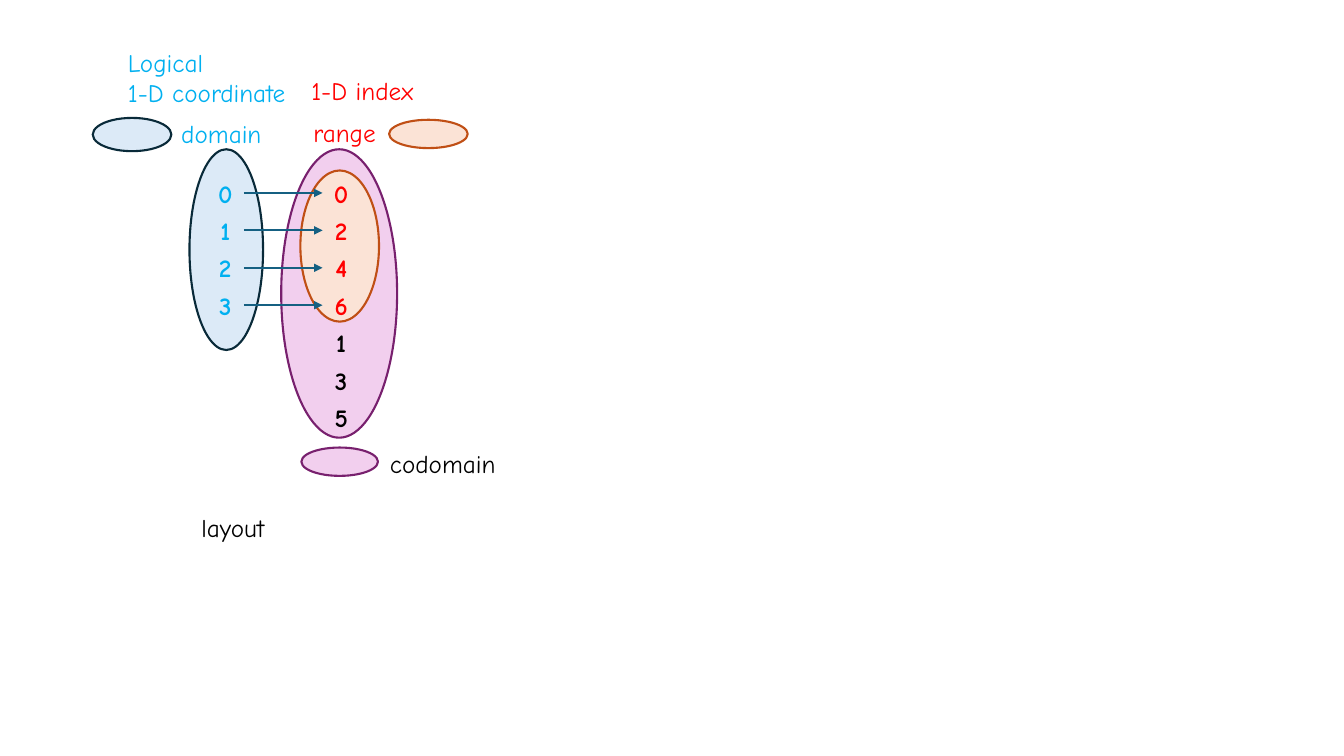
from lxml import etree
from pptx import Presentation
from pptx import util as u
from pptx.dml.color import RGBColor
from pptx.enum import shapes, text
from pptx.oxml.ns import qn

HUE = {"sky": "00B0F0", "red": "FF0000", "ink": "000000", "arrow": "156082"}
SETS = {
    "domain": {"fill": "DCEAF7", "line": "092A39", "font": "sky"},
    "range": {"fill": "FBE3D6", "line": "C04F15", "font": "red"},
    "codomain": {"fill": "F2CFEE", "line": "78206E", "font": "ink"},
}
COLS, ROWS = 40, 20
WIDE, HIGH = u.Inches(13.33), u.Inches(7.5)


def grid(x, y, w, h):
    col, row = WIDE / COLS, HIGH / ROWS
    return [round(v) for v in (x * col, y * row, w * col, h * row)]


def apply(item, form):
    for name, value in form.items():
        setattr(item, name, value)


def oval(slide, name, box):
    shape = slide.shapes.add_shape(shapes.MSO_SHAPE.OVAL, *grid(*box))
    shape.shadow.inherit = False
    shape.fill.solid()
    shape.fill.fore_color.rgb = RGBColor.from_string(SETS[name]["fill"])
    shape.line.color.rgb = RGBColor.from_string(SETS[name]["line"])
    shape.line.width = u.Pt(1.5)


def label(slide, lines, box, hue, bold=False, frame=None, align=text.PP_ALIGN.LEFT):
    body = slide.shapes.add_textbox(*grid(*box)).text_frame
    apply(body, {"word_wrap": True, **(frame or {})})
    body.text = lines
    for para in body.paragraphs:
        para.alignment = align
        apply(para.font, {"name": "Comic Neue", "size": u.Pt(18), "bold": bold})
        para.font.color.rgb = RGBColor.from_string(HUE[hue])


def digit(slide, value, box, hue):
    frame = {"margin_left": 0, "margin_right": 0, "margin_top": 0,
             "margin_bottom": 0, "vertical_anchor": text.MSO_ANCHOR.MIDDLE}
    label(slide, str(value), box, hue, True, frame, text.PP_ALIGN.CENTER)


def arrow(slide, x, y, span):
    left, top, width, _ = grid(x, y, span, 0)
    line = slide.shapes.add_connector(
        shapes.MSO_CONNECTOR.STRAIGHT, left, top, left + width, top)
    line.line.color.rgb = RGBColor.from_string(HUE["arrow"])
    line.line.width = u.Pt(1.5)
    etree.SubElement(line.line._get_or_add_ln(), qn("a:tailEnd"), type="triangle")
    etree.SubElement(line._element.spPr, qn("a:effectLst"))


def mapping(slide, x, y):
    oval(slide, "codomain", (x + 2.73, y, 3.45, 7.63))
    oval(slide, "range", (x + 3.3, y + 0.56, 2.34, 4))
    oval(slide, "domain", (x, y, 2.19, 5.31))
    wide, step, top = 1.11, 0.99, y + 0.66
    start, end = x + 0.51, x + 3.96
    inputs, outputs = range(4), (0, 2, 4, 6, 1, 3, 5)
    for i, value in enumerate(outputs):
        hue = "red" if i < len(inputs) else "ink"
        digit(slide, value, (end, top + i * step, wide, step), hue)
    for i in inputs:
        digit(slide, i, (start, top + i * step, wide, step), "sky")
        arrow(slide, start + wide, top + (i + 0.5) * step, end - start - wide)


def key(slide, name, box, dx, dy, wide):
    x, y = box[:2]
    oval(slide, name, box)
    label(slide, name, (x + dx, y + dy, wide, 1.07), SETS[name]["font"])


def heads(slide, x, y):
    label(slide, "Logical\n1-D coordinate", (x, y, 5.46, 1.89), "sky")
    label(slide, "1-D index", (x + 5.46, y + 0.75, 3.84, 1.07), "red")


def main():
    deck = Presentation()
    apply(deck, {"slide_width": WIDE, "slide_height": HIGH})
    slide = deck.slides.add_slide(deck.slide_layouts[6])
    mapping(slide, 5.64, 3.95)
    key(slide, "domain", (2.76, 3.12, 2.34, 0.88), 2.34, -0.11, 3.27)
    key(slide, "range", (11.58, 3.17, 2.34, 0.75), -2.55, -0.21, 3.27)
    key(slide, "codomain", (8.97, 11.84, 2.28, 0.75), 2.34, -0.11, 4.17)
    heads(slide, 3.51, 1.12)
    label(slide, "layout", (5.7, 13.41, 3.72, 1.07), "ink")
    deck.save("out.pptx")


if __name__ == "__main__":
    main()
